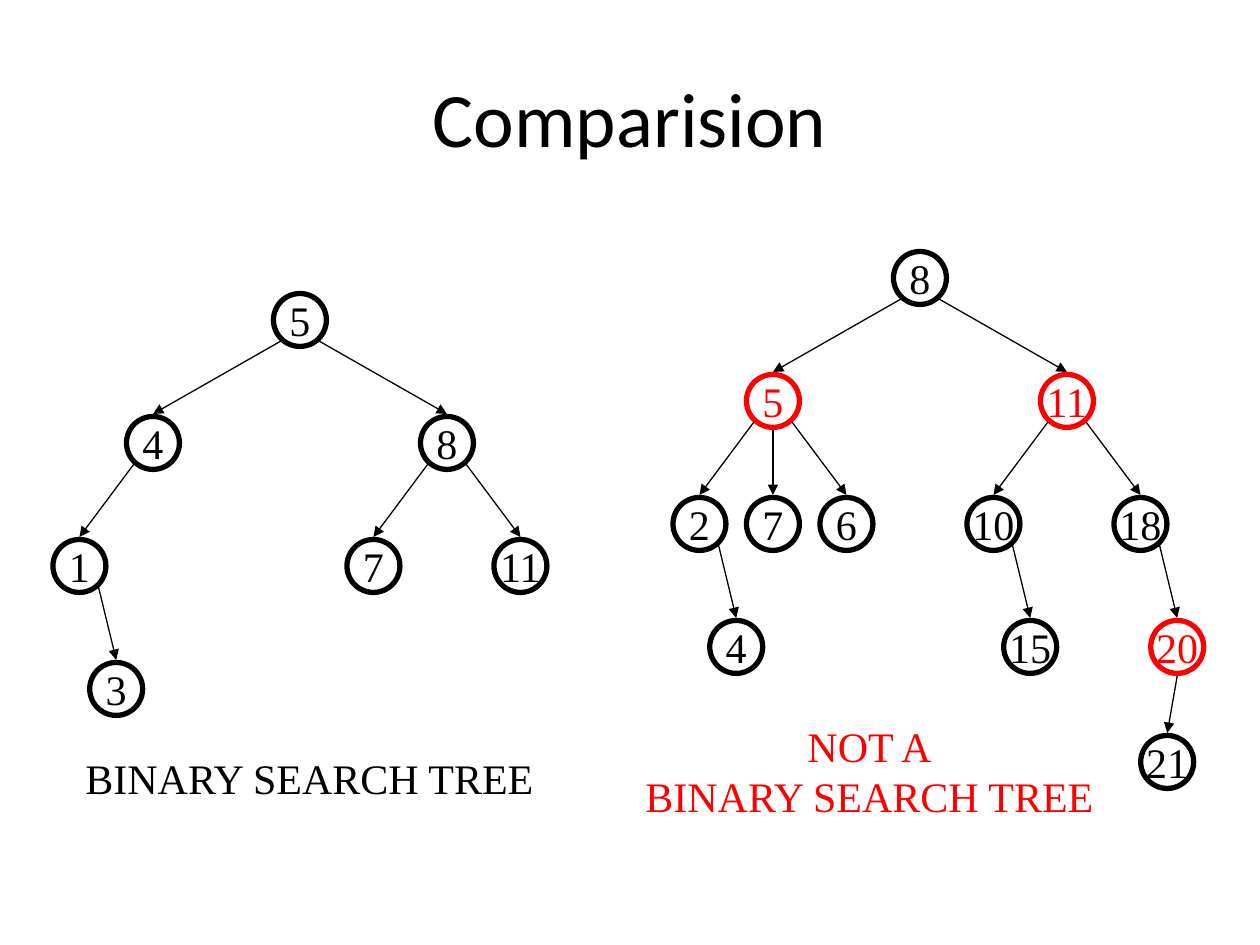
from dataclasses import dataclass
from typing import Optional
from lxml import etree
from pptx import Presentation
from pptx import util as u
from pptx.dml.color import RGBColor
from pptx.enum import shapes, text
from pptx.oxml.ns import qn

SCALE = u.Inches(1) / 126
COLORS = {"ink": "000000", "wrong": "FF0000"}
SERIF = "Times New Roman"
DIAMETER = 53
ROW = 123
BRANCH = 147
CLEARANCE = 29
EXIT_X, EXIT_Y = 19, 21


@dataclass
class Node:
    value: int
    side: int = 0
    children: tuple = ()
    color: str = "ink"
    offset: Optional[tuple] = None


SEARCH_TREE = Node(5, children=(
    Node(4, -1, (Node(1, -1, (Node(3, 1),)),)),
    Node(8, 1, (Node(7, -1), Node(11, 1))),
))
OTHER_TREE = Node(8, children=(
    Node(5, -1, (Node(2, -1, (Node(4, 1),)), Node(7), Node(6, 1)), "wrong"),
    Node(11, 1, (
        Node(10, -1, (Node(15, 1),)),
        Node(18, 1, (
            Node(20, 1, (Node(21, offset=(-10, 115)),), "wrong"),
        )),
    ), "wrong"),
))


def px(*lengths):
    return [u.Emu(round(length * SCALE)) for length in lengths]


def rgb(name):
    return RGBColor.from_string(COLORS[name])


def style(frame, size, font, color, align):
    for para in frame.paragraphs:
        para.alignment = align
        for span in para.runs:
            span.font.size = u.Pt(size)
            span.font.name = font
            span.font.color.rgb = rgb(color)


def add_arrow(page, start, end):
    arrow = page.shapes.add_connector(
        shapes.MSO_CONNECTOR.STRAIGHT, *px(*start, *end))
    arrow.line.color.rgb = rgb("ink")
    arrow.line.width = u.Pt(0.75)
    line = arrow.line._get_or_add_ln()
    etree.SubElement(line, qn("a:tailEnd"), type="triangle")
    etree.SubElement(arrow._element.spPr, qn("a:effectLst"))


def add_node(page, node, x, y):
    radius = DIAMETER / 2
    circle = page.shapes.add_shape(
        shapes.MSO_SHAPE.OVAL, *px(x - radius, y - radius, DIAMETER, DIAMETER))
    circle.shadow.inherit = False
    circle.fill.background()
    circle.line.color.rgb = rgb(node.color)
    circle.line.width = u.Pt(3)
    frame = circle.text_frame
    frame.word_wrap = False
    frame.vertical_anchor = text.MSO_ANCHOR.MIDDLE
    frame.text = str(node.value)
    style(frame, 24, SERIF, node.color, text.PP_ALIGN.CENTER)


def add_tree(page, node, x, y, branch=BRANCH):
    add_node(page, node, x, y)
    for child in node.children:
        dx, dy = child.offset or (child.side * branch, ROW)
        drop = EXIT_Y if child.side else CLEARANCE
        add_arrow(page, (x + child.side * EXIT_X, y + drop),
                  (x + dx, y + dy - CLEARANCE))
        add_tree(page, child, x + dx, y + dy, branch / 2)


def add_caption(page, box, words, color, align):
    caption = page.shapes.add_textbox(*px(*box))
    frame = caption.text_frame
    frame.word_wrap = False
    frame.text = words
    style(frame, 24, SERIF, color, align)


def add_title(page, box, words):
    title = page.shapes.title
    title.left, title.top, title.width, title.height = px(*box)
    title.text_frame.text = words
    title.text_frame.vertical_anchor = text.MSO_ANCHOR.MIDDLE
    style(title.text_frame, 44, "Calibri", "ink", text.PP_ALIGN.CENTER)


def build_comparison(deck):
    page = deck.slides.add_slide(deck.slide_layouts[5])
    add_title(page, (63, 38, 1134, 158), "Comparision")
    add_tree(page, SEARCH_TREE, 300, 320)
    add_tree(page, OTHER_TREE, 920, 278)
    add_caption(page, (73, 746, 479, 63), "BINARY SEARCH TREE",
                "ink", text.PP_ALIGN.LEFT)
    add_caption(page, (630, 714, 479, 113), "NOT A\nBINARY SEARCH TREE",
                "wrong", text.PP_ALIGN.CENTER)


deck = Presentation()
deck.slide_width, deck.slide_height = px(1260, 945)
build_comparison(deck)
deck.save("out.pptx")
